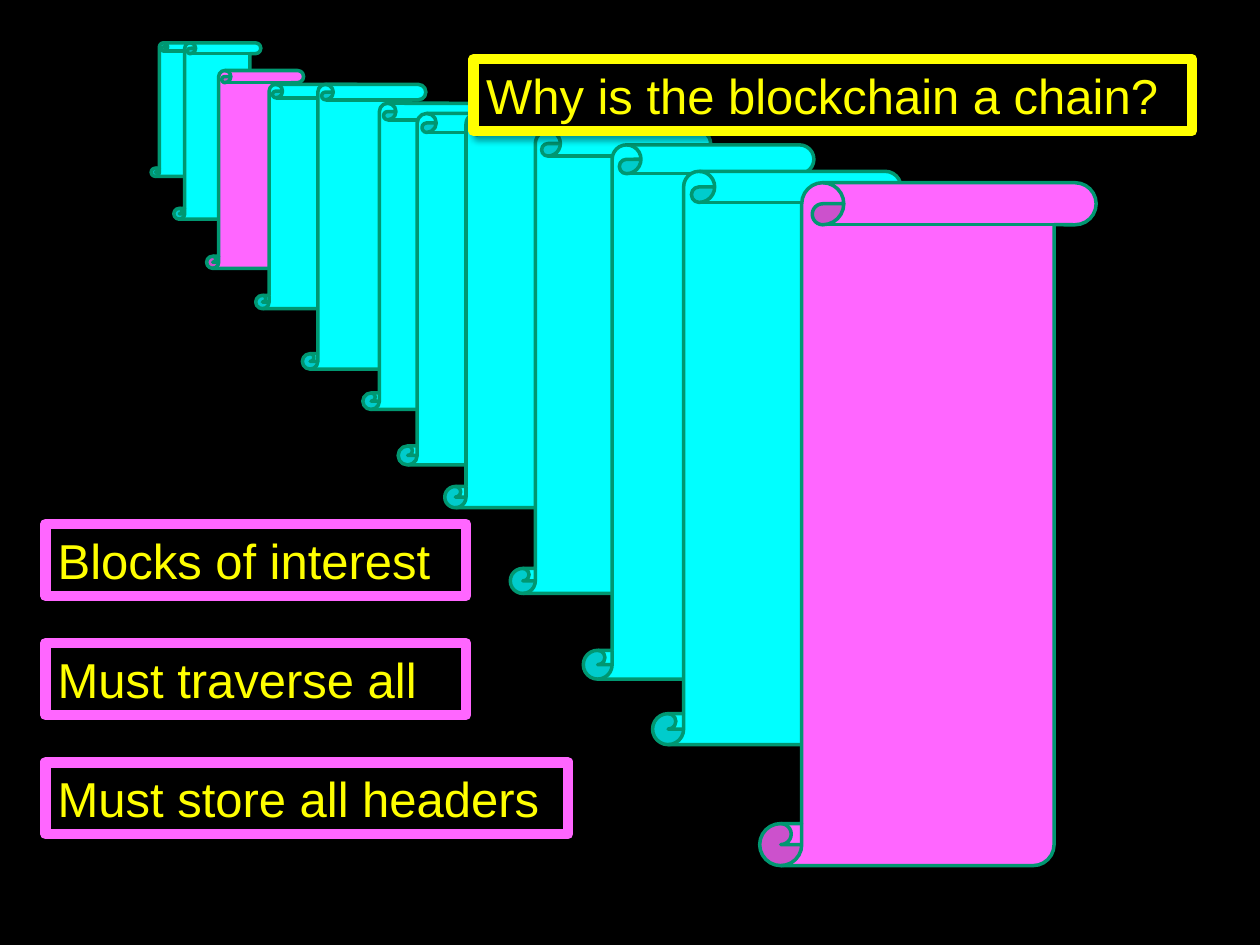
from lxml import etree
from pptx import Presentation
from pptx.dml.color import RGBColor
from pptx.enum.shapes import MSO_SHAPE as Shape
from pptx.enum.text import MSO_ANCHOR, MSO_AUTO_SIZE, PP_ALIGN
from pptx.oxml.ns import qn
from pptx.util import Inches, Pt

BLACK, CYAN, PINK, YELLOW, GREEN = "000000", "00FFFF", "FF66FF", "FFFF00", "009771"

deck = Presentation()
deck.slide_width, deck.slide_height = Inches(10), Inches(7.5)
page = deck.slides.add_slide(deck.slide_layouts[6])
cell = deck.slide_width / 100  # square grid: 100 columns by 75 rows


def color(hex_text):
    return RGBColor.from_string(hex_text)


def add_block(kind, column, row, columns, rows, fill, line, line_width):
    block = page.shapes.add_shape(
        kind, *(round(n * cell) for n in (column, row, columns, rows)))
    block.shadow.inherit = False
    block.fill.solid()
    block.fill.fore_color.rgb = color(fill)
    block.line.color.rgb = color(line)
    block.line.width = Pt(line_width)
    return block


# Background
page.background.fill.solid()
page.background.fill.fore_color.rgb = color(BLACK)

# Chain of scrolls, farthest first: column, row, columns, rows
scrolls = [
    (12, 3.4, 5.2, 10.6),
    (13.8, 3.4, 6.9, 14),
    (16.4, 5.6, 7.7, 15.7),
    (20.3, 6.7, 8.5, 17.8),
    (24, 6.7, 9.8, 22.6),
    (28.8, 8.2, 10.5, 24.3),
    (31.6, 9, 12.1, 27.9),
    (35.3, 9, 13.5, 31.3),
    (40.5, 10.4, 15.9, 36.7),
    (46.3, 11.5, 18.3, 42.4),
    (51.8, 13.6, 19.7, 45.5),
    (60.3, 14.5, 26.7, 54.2),
]
blocks_of_interest = (2, len(scrolls) - 1)
for index, place in enumerate(scrolls):
    fill = PINK if index in blocks_of_interest else CYAN
    add_block(Shape.VERTICAL_SCROLL, *place, fill, GREEN, 2)

# Title and the three framed remarks: text, column, row, columns, frame
captions = [("Why is the blockchain a chain?", 37.6, 4.7, 57, YELLOW)]
remarks = [("Blocks of interest", 33.4), ("Must traverse all", 33.4),
           ("Must store all headers", 41.5)]
for index, (text, columns) in enumerate(remarks):
    captions.append((text, 3.6, 41.6 + 9.45 * index, columns, PINK))

for text, column, row, columns, frame_color in captions:
    box = add_block(Shape.RECTANGLE, column, row, columns, 5.7, BLACK, frame_color, 6)

    # Soft shadow towards the lower right
    effects = box._element.spPr.find(qn("a:effectLst"))
    shadow = etree.SubElement(
        effects, qn("a:outerShdw"), blurRad=str(Pt(4)), dist=str(Pt(3)),
        dir=str(45 * 60000), algn="tl", rotWithShape="0")
    tint = etree.SubElement(shadow, qn("a:srgbClr"), val=BLACK)
    etree.SubElement(tint, qn("a:alpha"), val="40000")

    frame = box.text_frame
    frame.word_wrap = True
    frame.auto_size = MSO_AUTO_SIZE.SHAPE_TO_FIT_TEXT
    frame.vertical_anchor = MSO_ANCHOR.TOP
    para = frame.paragraphs[0]
    para.text = text
    para.alignment = PP_ALIGN.LEFT
    para.font.name = "Arial"
    para.font.size = Pt(28)
    para.font.color.rgb = color(YELLOW)

deck.save("out.pptx")
